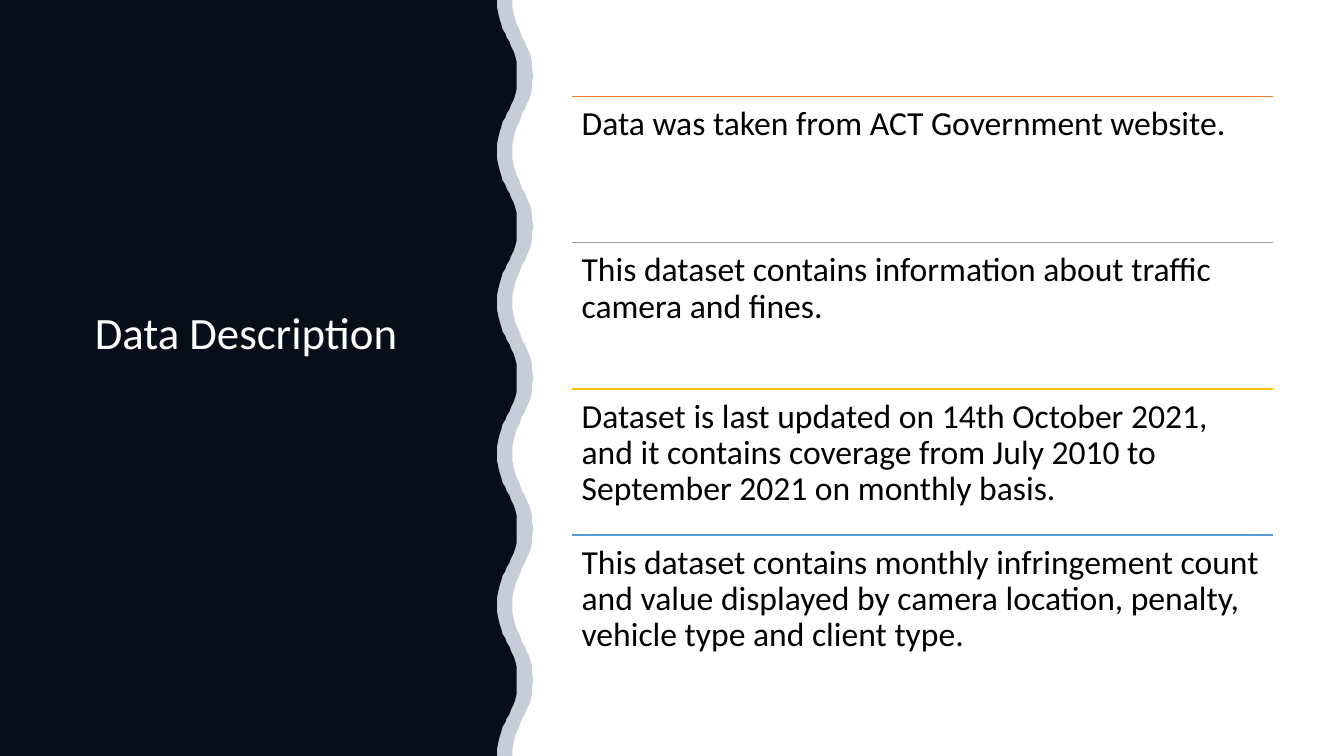
from lxml import etree
from pptx import Presentation
from pptx.dml.color import RGBColor
from pptx.enum.shapes import MSO_CONNECTOR
from pptx.enum.text import MSO_ANCHOR, MSO_AUTO_SIZE, PP_ALIGN
from pptx.oxml.ns import qn
from pptx.util import Pt

STRAIGHT = MSO_CONNECTOR.STRAIGHT
TOP = MSO_ANCHOR.TOP
NO_AUTOFIT = MSO_AUTO_SIZE.NONE
LEFT = PP_ALIGN.LEFT

COLORS = {
    "panel": "000000",
    "veil": "203864",
    "title": "FFFFFF",
    "text": "000000",
    "orange": "ED7D31",
    "gray": "A5A5A5",
    "gold": "FFC000",
    "blue": "5B9BD5",
}
FACTS = [
    ("orange", "Data was taken from ACT Government website."),
    ("gray", "This dataset contains information about traffic camera and fines."),
    ("gold", "Dataset is last updated on 14th October 2021, and it contains "
             "coverage from July 2010 to September 2021 on monthly basis."),
    ("blue", "This dataset contains monthly infringement count and value displayed "
             "by camera location, penalty, vehicle type and client type."),
]
SLIDE_WIDTH, SLIDE_HEIGHT = 960, 540
HALF_WAVE, WAVE_DEPTH = 54, 14.4
# Share of the wave depth reached at each share of a half wave's height
WAVE_PROFILE = [(0, 0), (0.09, 0.02), (0.18, 0.06), (0.25, 0.11), (0.32, 0.2),
                (0.38, 0.3), (0.44, 0.4), (0.5, 0.5), (0.56, 0.6), (0.62, 0.7),
                (0.68, 0.8), (0.75, 0.89), (0.82, 0.94), (0.91, 0.98)]
FACTS_LEFT, FACTS_TOP = 408.4, 69
FACT_WIDTH, FACT_HEIGHT = 501, 104.4


def wave_points(edge):
    """Return points down a wavy edge whose leftmost position is edge."""
    points = []
    for half in range(SLIDE_HEIGHT // HALF_WAVE):
        for height, depth in WAVE_PROFILE:
            reach = 1 - depth if half % 2 else depth
            points.append((edge + WAVE_DEPTH * reach, HALF_WAVE * (half + height)))
    return points + [(edge, SLIDE_HEIGHT)]


class SlideBuilder:
    def __init__(self, slide, font_name):
        self.slide = slide
        self.font_name = font_name

    def format_text(self, text_frame, text, size, color, inset):
        text_frame.word_wrap = True
        text_frame.auto_size = NO_AUTOFIT
        text_frame.vertical_anchor = TOP
        text_frame.margin_left = text_frame.margin_right = Pt(7.2)
        text_frame.margin_top = text_frame.margin_bottom = Pt(inset)
        text_frame.text = text
        paragraph = text_frame.paragraphs[0]
        paragraph.alignment = LEFT
        paragraph.line_spacing = 0.9
        paragraph.font.name = self.font_name
        paragraph.font.size = Pt(size)
        paragraph.font.color.rgb = RGBColor.from_string(COLORS[color])

    def title(self, text, left, top, width, height):
        shape = self.slide.shapes.title
        shape.left, shape.top = Pt(left), Pt(top)
        shape.width, shape.height = Pt(width), Pt(height)
        self.format_text(shape.text_frame, text, 32, "title", 3.6)

    def text(self, text, left, top, width, height):
        shape = self.slide.shapes.add_textbox(Pt(left), Pt(top), Pt(width), Pt(height))
        self.format_text(shape.text_frame, text, 24, "text", 7.2)

    def rule(self, left, top, width, color):
        line = self.slide.shapes.add_connector(
            STRAIGHT, Pt(left), Pt(top), Pt(left + width), Pt(top))
        line.line.color.rgb = RGBColor.from_string(COLORS[color])
        line.line.width = Pt(1)
        etree.SubElement(line._element.spPr, qn("a:effectLst"))

    def wavy_panel(self, edge, color, opacity=100):
        """Fill the slide from its left side to a wavy edge, opacity in percent."""
        builder = self.slide.shapes.build_freeform(0, 0, scale=Pt(1))
        builder.add_line_segments(wave_points(edge) + [(0, SLIDE_HEIGHT)], close=True)
        shape = builder.convert_to_shape()
        shape.shadow.inherit = False
        shape.line.fill.background()
        shape.fill.solid()
        shape.fill.fore_color.rgb = RGBColor.from_string(COLORS[color])
        if opacity < 100:
            fill_color = shape._element.spPr.find(".//" + qn("a:srgbClr"))
            etree.SubElement(fill_color, qn("a:alpha"), val=str(opacity * 1000))


def main():
    presentation = Presentation()
    presentation.slide_width, presentation.slide_height = Pt(SLIDE_WIDTH), Pt(SLIDE_HEIGHT)
    slide = presentation.slides.add_slide(presentation.slide_layouts.get_by_name("Title Only"))
    builder = SlideBuilder(slide, "Calibri")

    builder.wavy_panel(355, "panel")
    builder.wavy_panel(366.2, "veil", opacity=25)
    builder.title("Data Description", 60.5, 218.2, 266.4, 265)
    # The title belongs in front of the panels
    slide.shapes._spTree.append(slide.shapes.title._element)

    for row, (color, fact) in enumerate(FACTS):
        top = FACTS_TOP + row * FACT_HEIGHT
        builder.rule(FACTS_LEFT, top, FACT_WIDTH, color)
        builder.text(fact, FACTS_LEFT, top, FACT_WIDTH, FACT_HEIGHT)

    presentation.save("out.pptx")


if __name__ == "__main__":
    main()
